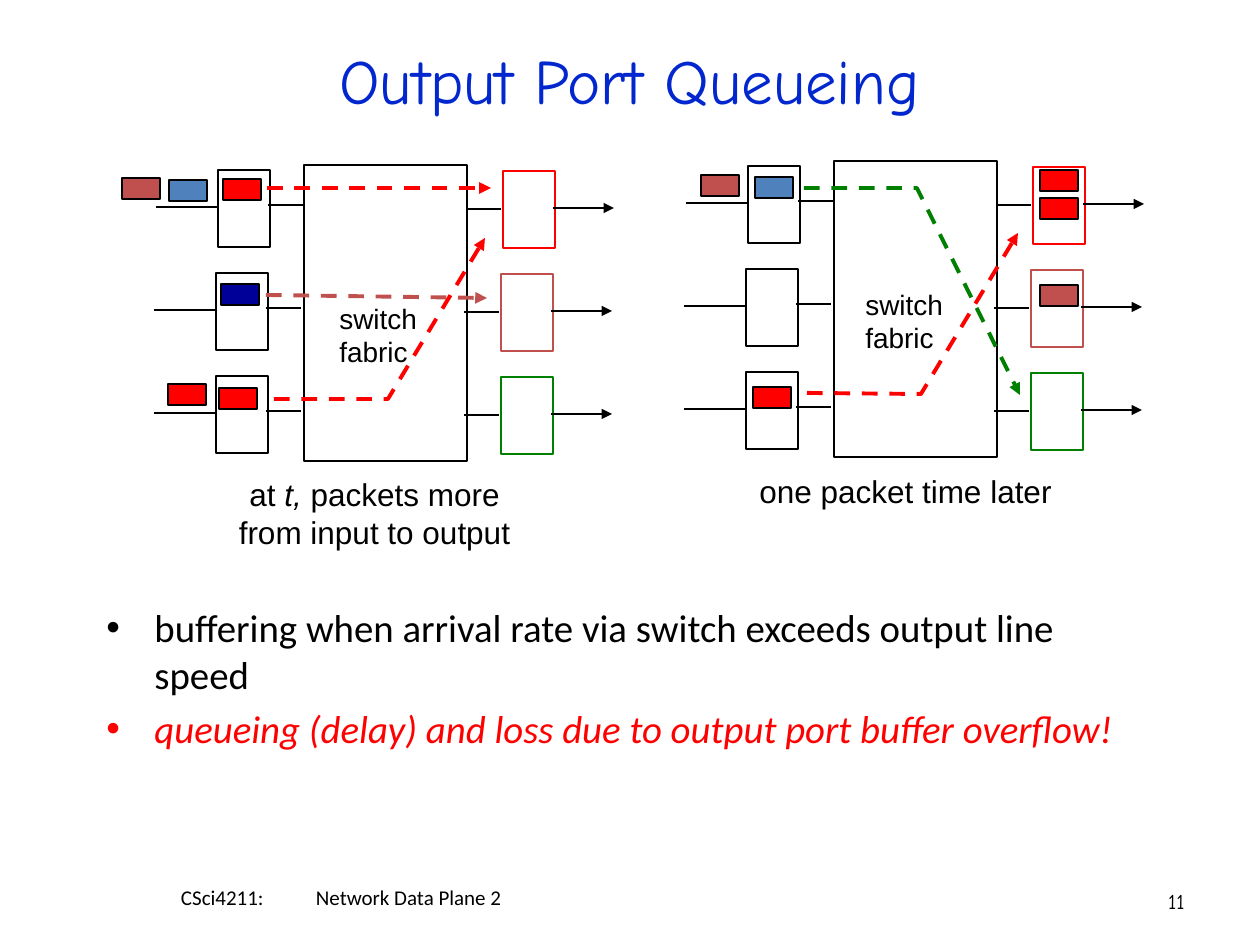
import pptx
import pptx.dml.color
import pptx.enum.dml
import pptx.enum.shapes
import pptx.enum.text
import pptx.oxml.ns
import pptx.util
from lxml import etree

PX_PER_INCH = 126
BLACK, WHITE, RED, GREEN = "000000", "FFFFFF", "FF0000", "008000"
BRICK, BLUE, NAVY, TITLE_BLUE = "C0504D", "4F81BD", "000099", "0227CE"
ALIGN = pptx.enum.text.PP_ALIGN
ANCHOR = pptx.enum.text.MSO_ANCHOR

TITLE = {"name": "Comic Neue", "size": pptx.util.Pt(36)}
BULLET = {"name": "Calibri", "size": pptx.util.Pt(22.2)}
CAPTION = {"name": "Arial", "size": pptx.util.Pt(18)}
FABRIC = {"name": "Arial", "size": pptx.util.Pt(16)}
FOOTER = {"name": "Calibri", "size": pptx.util.Pt(12)}
NUMBER = {"name": "Comic Neue", "size": pptx.util.Pt(12)}

# Offset of each port row from the top row
ROWS = [(0, 0), (-2, 103), (-2, 206)]
PORT_COLORS = [RED, BRICK, GREEN]


def px(length):
    return pptx.util.Emu(round(length * 914400 / PX_PER_INCH))


def color(value):
    return pptx.dml.color.RGBColor.from_string(value)


def add_xml(parent, tag, **values):
    return etree.SubElement(parent, pptx.oxml.ns.qn(tag), values)


def style_line(shape, line_color, width, dashed=False, arrow=False):
    shape.line.color.rgb = color(line_color)
    shape.line.width = pptx.util.Pt(width)
    if dashed:
        shape.line.dash_style = pptx.enum.dml.MSO_LINE.DASH
    if arrow:
        add_xml(shape.line._get_or_add_ln(), "a:tailEnd", type="triangle")


def add_rectangle(page, left, top, width, height, fill=WHITE, line=BLACK, weight=0.75):
    box = page.shapes.add_shape(
        pptx.enum.shapes.MSO_SHAPE.RECTANGLE, px(left), px(top), px(width), px(height))
    box.shadow.inherit = False
    box.fill.solid()
    box.fill.fore_color.rgb = color(fill)
    style_line(box, line, weight)


def add_packet(page, left, top, fill):
    add_rectangle(page, left, top, 38, 21, fill)


def add_line(page, start, end, line=BLACK, weight=1.5, **options):
    connector = page.shapes.add_connector(
        pptx.enum.shapes.MSO_CONNECTOR.STRAIGHT, *map(px, start + end))
    style_line(connector, line, weight, **options)
    add_xml(connector._element.spPr, "a:effectLst")


def add_bent_flow(page, points, line):
    start, *rest = [(px(x), px(y)) for x, y in points]
    builder = page.shapes.build_freeform(*start)
    builder.add_line_segments(rest, close=False)
    flow = builder.convert_to_shape()
    flow.shadow.inherit = False
    flow.fill.background()
    style_line(flow, line, 2.25, dashed=True, arrow=True)


def add_text(page, area, lines, format_values, text_color=BLACK,
             align=ALIGN.LEFT, anchor=ANCHOR.TOP, wrap=True):
    """Each line is a list of (text, italic) spans."""
    box = page.shapes.add_textbox(*map(px, area))
    frame = box.text_frame
    frame.word_wrap = wrap
    frame.vertical_anchor = anchor
    for index, spans in enumerate(lines):
        para = frame.add_paragraph() if index else frame.paragraphs[0]
        para.alignment = align
        for text, italic in spans:
            span = para.add_run()
            span.text = text
            for name, value in {**format_values, "italic": italic}.items():
                setattr(span.font, name, value)
            span.font.color.rgb = color(text_color)
    return frame


def add_bullets(page):
    frame = add_text(page, (94, 598, 1071, 140), [
        [("buffering when arrival rate via switch exceeds output line speed", False)],
        [("queueing (delay) and loss due to output port buffer overflow!", True)],
    ], BULLET)
    for para, text_color in zip(frame.paragraphs, [BLACK, RED]):
        para.space_before = pptx.util.Pt(4.4)
        para.runs[0].font.color.rgb = color(text_color)
        properties = para._p.get_or_add_pPr()
        properties.set("marL", str(px(48)))
        properties.set("indent", str(-px(48)))
        add_xml(properties, "a:buFont", typeface="Arial")
        add_xml(properties, "a:buChar", char="•")


def add_switch(page, left, top):
    """Fabric with three input and three output ports."""
    add_rectangle(page, left, top, 163, 296)
    for (dx, dy), port_color in zip(ROWS, PORT_COLORS):
        x, y = left + dx, top + dy
        add_rectangle(page, x - 86, y + 5, 52, 77)
        add_rectangle(page, x + 199, y + 6, 52, 77, line=port_color, weight=1.5)
        for start, height, length in [(-148, 42, 61), (-36, 40, 35), (162, 44, 35)]:
            add_line(page, (x + start, y + height), (x + start + length, y + height))
        add_line(page, (x + 249, y + 43), (x + 310, y + 43), arrow=True)


def add_fabric_label(page, left, top):
    add_text(page, (left, top, 103, 81), [[("switch", False)], [("fabric", False)]],
             FABRIC, wrap=False)


def add_first_moment(page):
    add_switch(page, 304, 165)
    for packet in [(122, 178, BRICK), (169, 180, BLUE), (223, 179, RED),
                   (221, 284, NAVY), (168, 384, RED), (219, 388, RED)]:
        add_packet(page, *packet)
    for start, end, line in [((267, 188), (491, 188), RED), ((266, 295), (487, 298), BRICK)]:
        add_line(page, start, end, line, 2.25, dashed=True, arrow=True)
    add_bent_flow(page, [(274, 399), (388, 399), (485, 238)], RED)
    add_fabric_label(page, 327, 295)
    add_text(page, (205, 469, 339, 88), [
        [("at ", False), ("t,", True), (" packets more", False)],
        [("from input to output", False)],
    ], CAPTION, align=ALIGN.CENTER)


def add_next_moment(page):
    add_switch(page, 834, 161)
    for packet in [(701, 175, BRICK), (755, 177, BLUE), (753, 387, RED),
                   (1040, 170, RED), (1040, 198, RED), (1040, 285, BRICK)]:
        add_packet(page, *packet)
    add_fabric_label(page, 853, 281)
    add_bent_flow(page, [(807, 393), (921, 394), (1018, 233)], RED)
    add_bent_flow(page, [(804, 188), (917, 188), (1020, 395)], GREEN)
    add_text(page, (736, 466, 339, 50), [[("one packet time later", False)]],
             CAPTION, align=ALIGN.CENTER)


def add_footer(page):
    frame = add_text(page, (94, 876, 494, 42),
                     [[("CSci4211:\tNetwork Data Plane 2", False)]],
                     FOOTER, anchor=ANCHOR.MIDDLE)
    frame.margin_left = px(87)
    tabs = add_xml(frame.paragraphs[0]._p.get_or_add_pPr(), "a:tabLst")
    add_xml(tabs, "a:tab", pos=str(px(135)), algn="l")
    add_text(page, (903, 876, 294, 50), [[("11", False)]], NUMBER,
             align=ALIGN.RIGHT, anchor=ANCHOR.MIDDLE)


def main():
    deck = pptx.Presentation()
    deck.slide_width, deck.slide_height = px(1260), px(945)
    page = deck.slides.add_slide(deck.slide_layouts[6])

    # Title and bullets
    add_text(page, (94, 0, 1071, 158), [[("Output Port Queueing", False)]], TITLE,
             TITLE_BLUE, ALIGN.CENTER, ANCHOR.MIDDLE)
    add_bullets(page)

    # The switch at two moments
    add_first_moment(page)
    add_next_moment(page)

    # Footer
    add_footer(page)
    deck.save("out.pptx")


if __name__ == "__main__":
    main()
